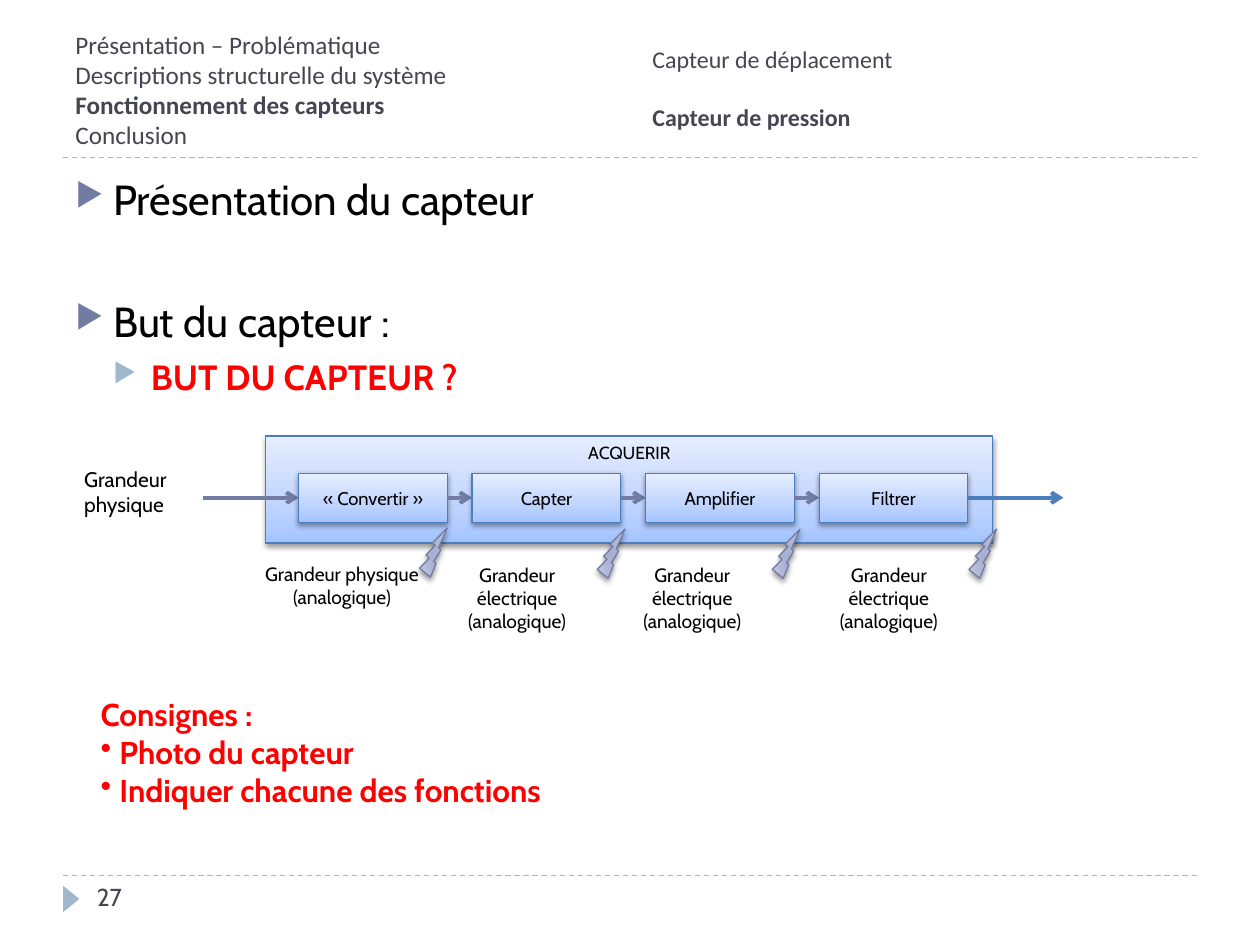
from dataclasses import dataclass
from typing import Optional

from lxml import etree
from pptx import Presentation
from pptx import util as u
from pptx.dml.color import RGBColor
from pptx.enum import dml, shapes, text
from pptx.oxml.ns import qn

BLACK, RED, SLATE = "000000", "FF0000", "464653"
VIOLET, PALE_BLUE, BLUE = "727CA3", "9FB8CD", "4B7EBC"
BLOCK_STOPS = ((0, "A4C4FF"), (35, "BFD4FF"), (100, "E6EEFF"))
BOLT_STOPS = ((0, "C9CDE2"), (30, "B1B7D7"), (45, "A8B0D3"),
              (55, "A8B0D3"), (73, "B1B7D7"), (100, "C9CDE2"))
AXIS_Y = 3.95
BLOCK_X, BLOCK_PITCH, BLOCK_W, BLOCK_H = 2.37, 1.377, 1.18, 0.39


@dataclass
class Bullet:
    char: str
    hang: float
    color: Optional[str] = None
    percent: int = 100


@dataclass
class Para:
    words: str
    size: float
    color: str = BLACK
    bold: bool = False
    font: str = "Cabin"
    before: float = 0
    indent: float = 0
    bullet: Optional[Bullet] = None


@dataclass
class Signal:
    lines: tuple
    left: float
    top: float
    width: float
    bolt_top: float


def rgb(value: str) -> RGBColor:
    return RGBColor.from_string(value)


def child(parent, tag: str, **attributes):
    """Append a DrawingML element and return it."""
    return etree.SubElement(parent, qn(f"a:{tag}"),
                            {name: str(value) for name, value in attributes.items()})


def add_bullet(paragraph, bullet: Bullet, indent: float) -> None:
    props = paragraph._p.get_or_add_pPr()
    props.set("marL", str(u.Inches(indent)))
    props.set("indent", str(-u.Inches(bullet.hang)))
    if bullet.color:
        child(child(props, "buClr"), "srgbClr", val=bullet.color)
    child(props, "buSzPct", val=bullet.percent * 1000)
    child(props, "buChar", char=bullet.char)


def write(shape, paras: list, align=text.PP_ALIGN.LEFT,
          anchor=text.MSO_ANCHOR.TOP, inset: Optional[float] = None) -> None:
    frame = shape.text_frame
    layout = {"word_wrap": True, "vertical_anchor": anchor}
    if inset is not None:
        for side in ("left", "right", "top", "bottom"):
            layout[f"margin_{side}"] = u.Inches(inset)
    for name, value in layout.items():
        setattr(frame, name, value)
    for index, para in enumerate(paras):
        paragraph = frame.add_paragraph() if index else frame.paragraphs[0]
        paragraph.alignment = align
        paragraph.space_before = u.Pt(para.before)
        if para.bullet:
            add_bullet(paragraph, para.bullet, para.indent)
        run = paragraph.add_run()
        run.text = para.words
        run.font.color.rgb = rgb(para.color)
        for name, value in {"name": para.font, "size": u.Pt(para.size),
                            "bold": para.bold}.items():
            setattr(run.font, name, value)


def add_text(parent, left: float, top: float, width: float, height: float,
             paras: list, **layout) -> None:
    box = parent.add_textbox(*map(u.Inches, (left, top, width, height)))
    write(box, paras, **layout)


def add_line(parent, start: tuple, end: tuple, color: str, width: float,
             dashed: bool = False, arrow: bool = False) -> None:
    line = parent.add_connector(shapes.MSO_CONNECTOR.STRAIGHT,
                                *map(u.Inches, (*start, *end)))
    line.line.color.rgb = rgb(color)
    line.line.width = u.Pt(width)
    if dashed:
        line.line.dash_style = dml.MSO_LINE.DASH
    if arrow:
        child(line.line._get_or_add_ln(), "tailEnd", type="arrow")
    child(line._element.spPr, "effectLst")


def add_glossy(parent, kind, box: tuple, stops: tuple, angle: int, outline: str,
               shadow: tuple):
    """Add a shape with a gradient and a (opacity, blur, distance) drop shadow."""
    shape = parent.add_shape(kind, *map(u.Inches, box))
    shape.line.color.rgb = rgb(outline)
    shape.line.width = u.Pt(0.75)
    shape.fill.gradient()
    shape.shadow.inherit = False
    props = shape._element.spPr

    gradient = props.find(qn("a:gradFill"))
    for old in list(gradient):
        gradient.remove(old)
    stop_list = child(gradient, "gsLst")
    for position, color in stops:
        child(child(stop_list, "gs", pos=position * 1000), "srgbClr", val=color)
    child(gradient, "lin", ang=angle * 60000, scaled=0)

    opacity, blur, distance = shadow
    outer = child(props.find(qn("a:effectLst")), "outerShdw", blurRad=u.Pt(blur),
                  dist=u.Pt(distance), dir=90 * 60000, rotWithShape=0)
    child(child(outer, "srgbClr", val=BLACK), "alpha", val=opacity * 1000)
    return shape


def add_block(parent, box: tuple, label: str, size: float, anchor) -> None:
    block = add_glossy(parent, shapes.MSO_SHAPE.RECTANGLE, box, BLOCK_STOPS, 270,
                       BLUE, (38, 3.1, 1.6))
    write(block, [Para(label, size)], text.PP_ALIGN.CENTER, anchor)


def add_signal(parent, signal: Signal) -> None:
    group = parent.add_group_shape().shapes
    add_text(group, signal.left, signal.top, signal.width, 0.37,
             [Para(line, 11) for line in signal.lines],
             align=text.PP_ALIGN.CENTER, inset=0)
    bolt = add_glossy(group, shapes.MSO_SHAPE.LIGHTNING_BOLT,
                      (signal.left + signal.width, signal.bolt_top, 0.22, 0.39),
                      BOLT_STOPS, 16, VIOLET, (40, 3, 2))
    bolt._element.spPr.xfrm.set("flipV", "1")


def add_frame(parent) -> None:
    """Draw the rules, the page marker and both headings."""
    for y in (6.95, 1.25):
        add_line(parent, (0.5, y), (9.5, y), PALE_BLUE, 0.75, dashed=True)
    marker = parent.add_shape(shapes.MSO_SHAPE.ISOSCELES_TRIANGLE,
                              *map(u.Inches, (0.46, 7.07, 0.21, 0.13)))
    marker.rotation = 90
    marker.shadow.inherit = False
    marker.fill.solid()
    marker.fill.fore_color.rgb = rgb(PALE_BLUE)
    marker.line.fill.background()
    add_text(parent, 0.67, 6.95, 2.17, 0.4, [Para("27", 14, SLATE)])

    current = "Fonctionnement des capteurs"
    sections = ("Présentation – Problématique", "Descriptions structurelle du système",
                current, "Conclusion")
    add_text(parent, 0.5, 0.17, 4.42, 1.08,
             [Para(name, 14.4, SLATE, name == current, "Calibri") for name in sections],
             anchor=text.MSO_ANCHOR.MIDDLE)
    add_text(parent, 5.08, 0.16, 4.42, 1.08,
             [Para("Capteur de déplacement", 13.7, SLATE, font="Calibri"),
              Para("Capteur de pression", 13.7, SLATE, True, "Calibri", before=16.7)],
             anchor=text.MSO_ANCHOR.MIDDLE)


def add_body(parent) -> None:
    topic, detail = Bullet("▶", 0.3, VIOLET, 76), Bullet("▶", 0.3, PALE_BLUE, 76)
    add_text(parent, 0.5, 1.33, 9, 5.41, [
        Para("Présentation du capteur", 24, before=6, indent=0.3, bullet=topic),
        Para("But du capteur :", 24, before=41, indent=0.3, bullet=topic),
        Para("BUT DU CAPTEUR ?", 20, RED, True, before=5, indent=0.6, bullet=detail)])
    dot = Bullet("•", 0.15)
    add_text(parent, 0.7, 5.47, 8.67, 1.01, [
        Para("Consignes :", 18, RED, True),
        *(Para(task, 18, RED, True, indent=0.15, bullet=dot)
          for task in ("Photo du capteur", "Indiquer chacune des fonctions"))])


def add_chain(parent) -> None:
    """Draw the acquisition chain with its arrows and signals."""
    add_block(parent, (2.11, 3.46, 5.77, 0.85), "ACQUERIR", 10, text.MSO_ANCHOR.TOP)
    add_text(parent, 0.57, 3.65, 1, 0.48, [Para("Grandeur physique", 12)])
    arrow_start = 1.61
    for index, step in enumerate(("«\u00a0Convertir\u00a0»", "Capter", "Amplifier", "Filtrer")):
        left = BLOCK_X + index * BLOCK_PITCH
        add_line(parent, (arrow_start, AXIS_Y), (left, AXIS_Y), VIOLET, 2.25, arrow=True)
        add_block(parent, (left, AXIS_Y - BLOCK_H / 2, BLOCK_W, BLOCK_H), step, 10.5,
                  text.MSO_ANCHOR.MIDDLE)
        arrow_start = left + BLOCK_W
    add_line(parent, (arrow_start, AXIS_Y), (8.44, AXIS_Y), BLUE, 2.25, arrow=True)

    add_signal(parent, Signal(("Grandeur physique", "(analogique)"), 2.1, 4.46, 1.23, 4.19))
    for left in (3.47, 4.86, 6.42):
        add_signal(parent, Signal(("Grandeur électrique", "(analogique)"),
                                  left, 4.47, 1.27, 4.2))


def main() -> None:
    deck = Presentation()
    deck.slide_width, deck.slide_height = u.Inches(10), u.Inches(7.5)
    canvas = deck.slides.add_slide(deck.slide_layouts[6]).shapes
    for draw in (add_frame, add_body, add_chain):
        draw(canvas)
    deck.save("out.pptx")


if __name__ == "__main__":
    main()
